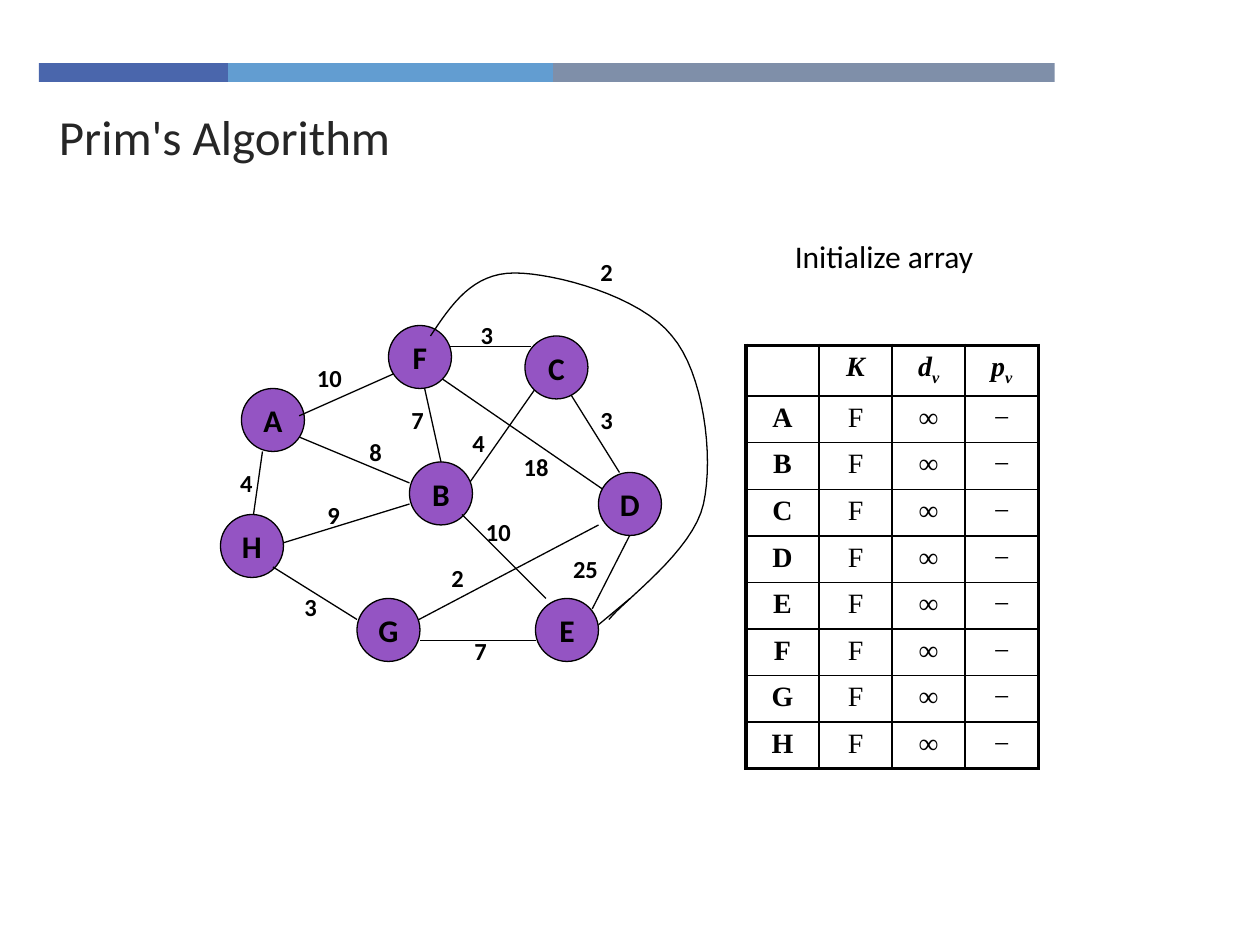
from lxml.etree import SubElement
from pptx import Presentation
from pptx.dml.color import RGBColor
from pptx.enum.shapes import MSO_CONNECTOR, MSO_SHAPE
from pptx.enum.text import MSO_ANCHOR as Anchor, MSO_AUTO_SIZE as AutoSize, PP_ALIGN as Align
from pptx.oxml import parse_xml
from pptx.oxml.ns import nsdecls, qn
from pptx.util import Inches, Pt

THEME = {
    "ink": "000000", "title": "262626", "node": "9454C3",
    "bars": ("4A66AC", "629DD1", "7F8FA9"),
    "sans": "Calibri", "serif": "Times New Roman",
    "title_size": 28, "body_size": 18, "table_size": 16, "label_size": 14,
    "hairline": 0.75, "inner": 1, "outer": 2.25,
}

TITLE = "Prim's Algorithm"
CAPTION = "Initialize array"
BAR_WIDTHS = (1.5, 2.58, 3.98)

UNITS_PER_INCH = 12
NODE_SIZE = 6
NODES = {
    "A": (23, 37), "H": (21, 49), "B": (39, 44), "F": (37, 31),
    "E": (51, 57), "D": (57, 45), "C": (50, 32), "G": (34, 57),
}
EDGES_BEHIND = [
    ((61.5, 48), (56.4, 58)), ((40, 35), (42, 44)), ((44, 47), (51, 37)),
    ((58, 47), (42, 36)), ((26, 52), (39, 48)), ((38, 60), (57, 50)),
    ((24, 50), (25, 43)), ((27, 41), (39, 46)), ((42.6, 33), (50.6, 33)),
    ((54, 37), (59, 45)),
]
EDGES_IN_FRONT = [
    ((44, 49), (52, 57)), ((51, 61), (40, 61)), ((34, 59), (26, 54)),
    ((28.5, 39.6), (37.5, 35.6)), ((60, 57), (57, 59.5)),
]
LONG_EDGE_START = (41, 32)
LONG_EDGE_CURVES = [
    ((43, 29), (45, 26), (49, 26)),
    ((52.8, 26), (61, 28.2), (64, 32)),
    ((67, 35.5), (68, 43.4), (67, 48)),
    ((66, 52.5), (59.5, 57.1), (58, 59)),
]
CURVE_STEPS = 16
WEIGHTS = [
    ("4", 21.7, 44), ("25", 53.4, 52.2), ("7", 44, 60), ("2", 41.8, 53),
    ("10", 45.1, 48.6), ("18", 48.7, 42.5), ("3", 56, 38), ("4", 43.8, 40.2),
    ("3", 44.6, 29.9), ("7", 38, 38), ("8", 34, 41), ("9", 30, 47),
    ("3", 27.8, 55.8), ("10", 29, 34), ("2", 56, 23.9),
]

HEADERS = [("", ""), ("K", ""), ("d", "v"), ("p", "v")]
INITIAL_VALUES = ("F", "∞", "−")
TABLE_LEFT, TABLE_TOP, COLUMN_WIDTH = 5.92, 2.74, 0.58
HEADER_HEIGHT, ROW_HEIGHT = 0.4, 0.37


def color(name):
    return RGBColor.from_string(name)


def grid(units):
    return Inches(units / UNITS_PER_INCH)


def write(frame, text, subscript="", size=18, face="sans", ink="ink",
          bold=False, italic=False, align=Align.LEFT):
    para = frame.paragraphs[0]
    para.alignment = align
    for part, baseline in ((text, "0"), (subscript, "-25000")):
        if not part:
            continue
        span = para.add_run()
        span.text = part
        span.font.name = THEME[face]
        span.font.size = Pt(size)
        span.font.bold, span.font.italic = bold, italic
        span.font.color.rgb = color(THEME[ink])
        if baseline != "0":
            span.font._element.set("baseline", baseline)


def add_text(page, text, left, top, width, height, grow=True, **style):
    box = page.shapes.add_textbox(left, top, width, height)
    box.text_frame.word_wrap = True
    box.text_frame.auto_size = AutoSize.SHAPE_TO_FIT_TEXT if grow else AutoSize.NONE
    write(box.text_frame, text, **style)


def outline(shape):
    shape.line.color.rgb = color(THEME["ink"])
    shape.line.width = Pt(THEME["hairline"])


def add_bars(page):
    left = 0.31
    for width, fill in zip(BAR_WIDTHS, THEME["bars"]):
        bar = page.shapes.add_shape(
            MSO_SHAPE.RECTANGLE, Inches(left), Inches(0.5), Inches(width), Inches(0.15))
        bar.shadow.inherit = False
        bar.fill.solid()
        bar.fill.fore_color.rgb = color(fill)
        bar.line.fill.background()
        left += width


def add_edges(page, edges):
    for start, end in edges:
        edge = page.shapes.add_connector(
            MSO_CONNECTOR.STRAIGHT, *map(grid, start + end))
        outline(edge)
        SubElement(edge._element.spPr, qn("a:effectLst"))


def add_nodes(page):
    for name, (column, row) in NODES.items():
        node = page.shapes.add_shape(
            MSO_SHAPE.OVAL, grid(column), grid(row), grid(NODE_SIZE), grid(NODE_SIZE))
        node.shadow.inherit = False
        node.fill.solid()
        node.fill.fore_color.rgb = color(THEME["node"])
        outline(node)
        node.text_frame.word_wrap = False
        node.text_frame.vertical_anchor = Anchor.MIDDLE
        write(node.text_frame, name, size=THEME["body_size"], bold=True, align=Align.CENTER)


def bezier(points, t):
    shares = ((1 - t) ** 3, 3 * t * (1 - t) ** 2, 3 * t ** 2 * (1 - t), t ** 3)
    return tuple(grid(sum(s * p[axis] for s, p in zip(shares, points))) for axis in (0, 1))


def add_long_edge(page):
    start, points = LONG_EDGE_START, []
    for curve in LONG_EDGE_CURVES:
        points += [bezier((start, *curve), step / CURVE_STEPS)
                   for step in range(1, CURVE_STEPS + 1)]
        start = curve[-1]
    builder = page.shapes.build_freeform(*map(grid, LONG_EDGE_START))
    builder.add_line_segments(points, close=False)
    edge = builder.convert_to_shape()
    edge.shadow.inherit = False
    edge.fill.background()
    outline(edge)


def add_borders(cell, outer_sides):
    properties = cell._tc.get_or_add_tcPr()
    for index, side in enumerate("LRTB"):
        width = Pt(THEME["outer" if side in outer_sides else "inner"])
        properties.insert(index, parse_xml(
            f'<a:ln{side} {nsdecls("a")} w="{width}"><a:solidFill>'
            f'<a:srgbClr val="{THEME["ink"]}"/></a:solidFill></a:ln{side}>'))


def add_array(page):
    rows = [HEADERS] + [[(text, "") for text in (name, *INITIAL_VALUES)]
                        for name in sorted(NODES)]
    last_row, last_column = len(rows) - 1, len(HEADERS) - 1
    table = page.shapes.add_table(
        len(rows), len(HEADERS), Inches(TABLE_LEFT), Inches(TABLE_TOP),
        Inches(COLUMN_WIDTH * len(HEADERS)),
        Inches(HEADER_HEIGHT + ROW_HEIGHT * last_row)).table
    table.first_row = table.horz_banding = False
    for column in table.columns:
        column.width = Inches(COLUMN_WIDTH)
    for r, values in enumerate(rows):
        table.rows[r].height = Inches(ROW_HEIGHT if r else HEADER_HEIGHT)
        for c, (text, subscript) in enumerate(values):
            cell = table.cell(r, c)
            cell.fill.background()
            on_edge = {"L": c == 0, "R": c == last_column, "T": r == 0, "B": r == last_row}
            add_borders(cell, [side for side, outer in on_edge.items() if outer])
            write(cell.text_frame, text, subscript, size=THEME["table_size"], face="serif",
                  bold=r == 0 or c == 0, italic=r == 0, align=Align.CENTER)


def main():
    deck = Presentation()
    deck.slide_width, deck.slide_height = Inches(10), Inches(7.5)
    page = deck.slides.add_slide(deck.slide_layouts[6])
    add_bars(page)
    add_text(page, TITLE, Inches(0.37), Inches(0.8), Inches(7.16), Inches(0.54),
             grow=False, size=THEME["title_size"], ink="title")
    add_text(page, CAPTION, Inches(6.21), Inches(1.83), Inches(1.83), Inches(0.43),
             size=THEME["body_size"])
    add_array(page)
    add_edges(page, EDGES_BEHIND)
    add_nodes(page)
    add_edges(page, EDGES_IN_FRONT)
    add_long_edge(page)
    for text, column, row in WEIGHTS:
        add_text(page, text, grid(column), grid(row), grid(2 + 2 * len(text)), grid(4),
                 size=THEME["label_size"], bold=True)
    deck.save("out.pptx")


if __name__ == "__main__":
    main()
